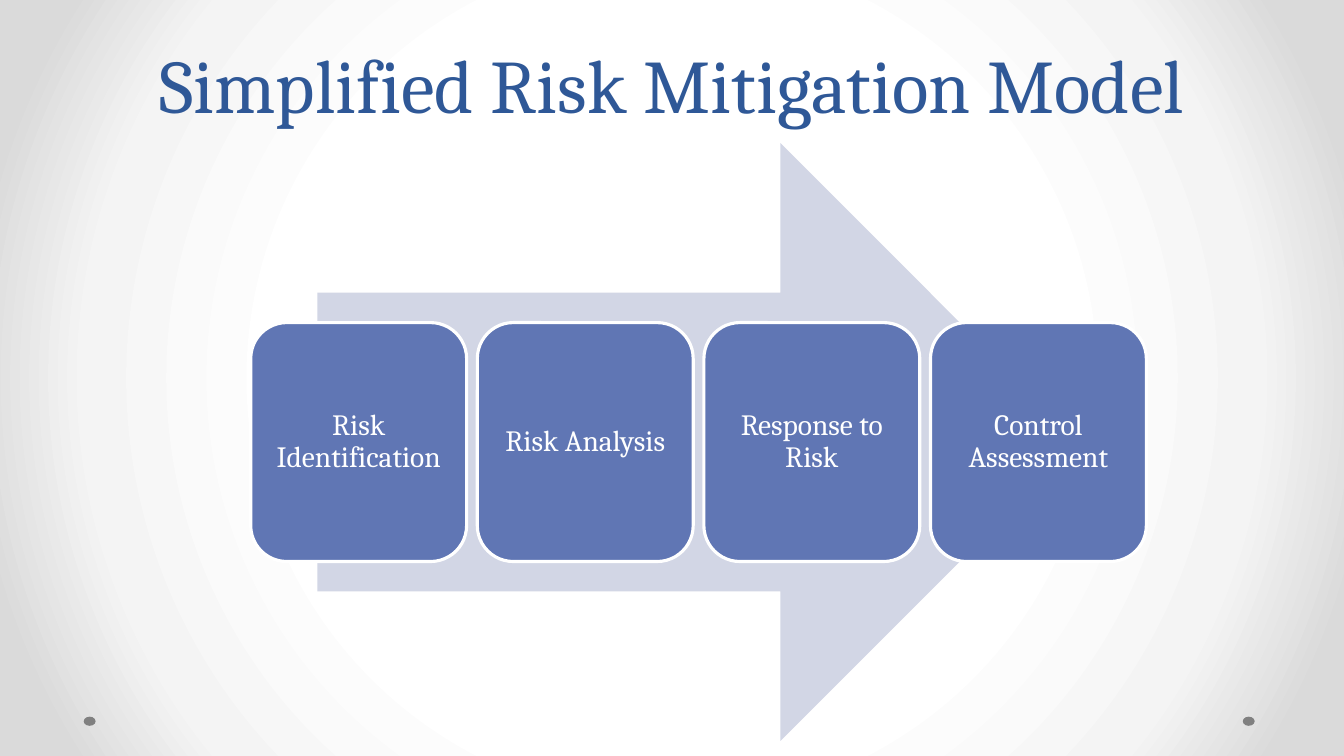
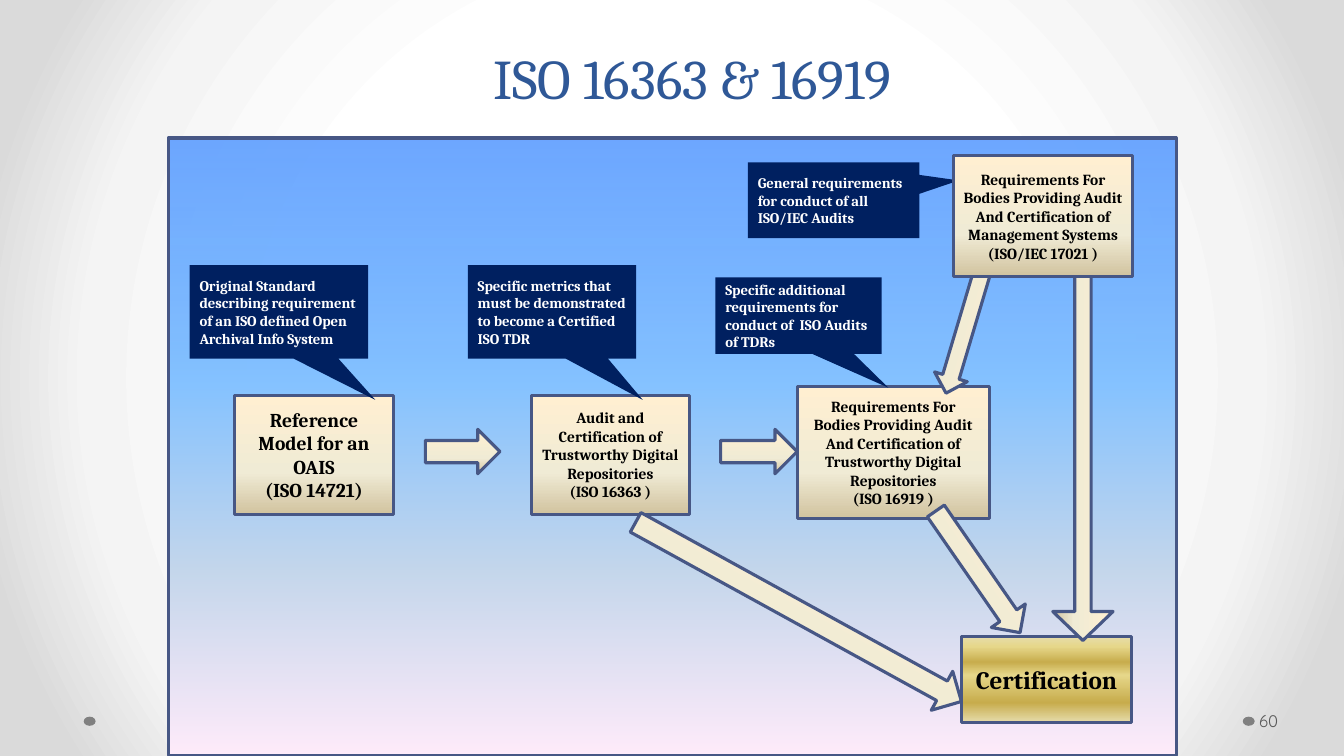
"""Build two slides: a risk mitigation model and a map of audit standards."""
from dataclasses import dataclass
from typing import NamedTuple, Optional, Union

from lxml import etree
from pptx import Presentation
from pptx.dml.color import RGBColor
from pptx.enum.shapes import MSO_SHAPE as Preset
from pptx.enum.text import MSO_ANCHOR as Anchor
from pptx.enum.text import PP_ALIGN as Align
from pptx.oxml.ns import qn
from pptx.slide import Slide
from pptx.text.text import TextFrame
from pptx.util import Cm, Pt

SERIF = "Cambria"
SANS = "Quicksand"
WHITE = RGBColor(0xFF, 0xFF, 0xFF)
BLACK = RGBColor(0x00, 0x00, 0x00)
TITLE_BLUE = RGBColor(0x2F, 0x58, 0x97)
CARD_BLUE = RGBColor(0x60, 0x76, 0xB4)
PALE_BLUE = RGBColor(0xD2, 0xD6, 0xE5)
OUTLINE_BLUE = RGBColor(0x47, 0x57, 0x85)
NAVY = RGBColor(0x00, 0x20, 0x60)
DOT_GREY = RGBColor(0x80, 0x80, 0x80)
NUMBER_GREY = RGBColor(0x59, 0x59, 0x59)
GOLD_EDGE = RGBColor(0xE6, 0xDC, 0xAC)
GOLD_LIGHT = RGBColor(0xE6, 0xD7, 0x8A)
GOLD_DARK = RGBColor(0xC7, 0xAC, 0x4C)


class Stop(NamedTuple):
    """A gradient stop, in percent."""
    position: int
    color: RGBColor
    opacity: int = 100


class Frame(NamedTuple):
    """A place on the slide, in centimetres."""
    left: float
    top: float
    width: float
    height: float


class Insets(NamedTuple):
    """Text margins, in centimetres."""
    left: float
    top: float
    right: float
    bottom: float


Gradient = tuple[Stop, ...]
Fill = Union[RGBColor, Gradient]
BACKDROP: Gradient = (
    Stop(50, WHITE),
    Stop(76, RGBColor(0xF4, 0xF4, 0xF4)),
    Stop(92, RGBColor(0xDA, 0xDA, 0xDA)),
)
SKY: Gradient = (
    Stop(0, RGBColor(0x5E, 0x9E, 0xFF), 90),
    Stop(40, RGBColor(0x85, 0xC2, 0xFF)),
    Stop(70, RGBColor(0xC4, 0xD6, 0xEB)),
    Stop(100, RGBColor(0xFF, 0xEB, 0xFA)),
)
PARCHMENT: Gradient = (
    Stop(0, RGBColor(0xFF, 0xEF, 0xD1)),
    Stop(65, RGBColor(0xF0, 0xEB, 0xD5)),
    Stop(100, RGBColor(0xD1, 0xC3, 0x9F)),
)
GOLD: Gradient = (
    Stop(0, GOLD_EDGE),
    Stop(12, GOLD_LIGHT),
    Stop(30, GOLD_DARK),
    Stop(45, GOLD_LIGHT),
    Stop(77, GOLD_DARK),
    Stop(100, GOLD_EDGE),
)
TEXT_INSETS = Insets(0.25, 0.13, 0.25, 0.13)


@dataclass(frozen=True)
class Style:
    """The look shared by shapes of one kind."""
    preset: Preset
    fill: Fill
    line: Optional[RGBColor] = None
    color: RGBColor = BLACK
    align: Align = Align.CENTER
    bold: bool = True
    spacing: Optional[float] = None
    insets: Insets = TEXT_INSETS


@dataclass(frozen=True)
class Part:
    """One shape of a diagram."""
    style: Style
    frame: Frame
    text: str = ""
    size: float = 11
    rotation: float = 0
    adjustments: tuple[float, ...] = ()


DOT = Style(Preset.OVAL, DOT_GREY)
BIG_ARROW = Style(Preset.RIGHT_ARROW, PALE_BLUE)
CARD = Style(Preset.ROUNDED_RECTANGLE, CARD_BLUE, WHITE, WHITE, bold=False,
             spacing=0.9, insets=Insets(0.24, 0.24, 0.24, 0.24))
PANEL = Style(Preset.RECTANGLE, SKY, OUTLINE_BLUE)
BOX = Style(Preset.RECTANGLE, PARCHMENT, OUTLINE_BLUE)
GOAL = Style(Preset.RECTANGLE, GOLD, OUTLINE_BLUE)
ARROW = Style(Preset.RIGHT_ARROW, PARCHMENT, OUTLINE_BLUE)
CALLOUT = Style(Preset.RECTANGULAR_CALLOUT, NAVY, color=WHITE, align=Align.LEFT)

DOTS = tuple(Part(DOT, Frame(left, 18.06, 0.3, 0.23)) for left in (31.32, 2.11))
STEPS = ("Risk Identification", "Risk Analysis", "Response to Risk", "Control Assessment")
CARD_FRAME = Frame(6.32, 8.13, 5.44, 6.02)
CARD_PITCH = 5.71
POINTER = (0.54, 0.94)

RISK_MODEL = (
    Part(BIG_ARROW, Frame(8, 3.61, 19.2, 15.06)),
    *(Part(CARD, CARD_FRAME._replace(left=CARD_FRAME.left + index * CARD_PITCH), step, 21)
      for index, step in enumerate(STEPS)),
)
STANDARDS_MAP = (
    Part(PANEL, Frame(4.24, 3.48, 25.4, 15.57)),
    Part(BOX, Frame(5.92, 9.96, 3.99, 3), "Reference Model for an OAIS\n(ISO 14721)", 14),
    Part(BOX, Frame(13.39, 9.96, 3.99, 3),
         "Audit and Certification of Trustworthy Digital Repositories\n(ISO 16363 )"),
    Part(BOX, Frame(20.09, 9.73, 4.85, 3.33),
         "Requirements For Bodies Providing Audit And Certification of "
         "Trustworthy Digital Repositories\n(ISO 16919 )"),
    Part(ARROW, Frame(22.68, 7.92, 3.25, 0.86), rotation=106.6),
    Part(ARROW, Frame(10.72, 10.82, 1.88, 1.12)),
    Part(ARROW, Frame(18.16, 10.82, 1.93, 1.12)),
    Part(ARROW, Frame(22.78, 13.89, 3.73, 1.04), rotation=55.3),
    Part(GOAL, Frame(24.23, 16.03, 4.29, 2.18), "Certification", 18),
    Part(ARROW, Frame(22.5, 10.59, 9.58, 1.52), rotation=90, adjustments=(0.27, 0.48)),
    Part(CALLOUT, Frame(18.85, 4.09, 4.32, 1.91),
         "General requirements for conduct of all ISO/IEC Audits", 10.5,
         adjustments=(0.73, -0.26)),
    Part(BOX, Frame(24.03, 3.91, 4.52, 3.07),
         "Requirements For Bodies Providing Audit And Certification of "
         "Management Systems\n(ISO/IEC 17021 )"),
    Part(ARROW, Frame(15.44, 14.86, 9.37, 1.12), rotation=28.8),
    Part(CALLOUT, Frame(18.03, 6.99, 4.19, 1.93),
         "Specific additional requirements for conduct of  ISO Audits of TDRs", 10.5,
         adjustments=POINTER),
    Part(CALLOUT, Frame(11.79, 6.68, 4.24, 2.36),
         "Specific metrics that must be demonstrated to become a Certified ISO TDR", 10.5,
         adjustments=POINTER),
    Part(CALLOUT, Frame(4.78, 6.68, 4.5, 2.36),
         "Original Standard describing requirement of an ISO defined Open "
         "Archival Info System", 10.5, adjustments=POINTER),
)


def set_stops(owner: etree.ElementBase, stops: Gradient, radial: bool = False) -> None:
    """Replace the stops of the first gradient in an element."""
    gradient = next(owner.iter(qn("a:gradFill")))
    gradient.clear()
    gradient.set("rotWithShape", "1")
    stop_list = etree.SubElement(gradient, qn("a:gsLst"))
    for stop in stops:
        entry = etree.SubElement(stop_list, qn("a:gs"), {"pos": str(stop.position * 1000)})
        color = etree.SubElement(entry, qn("a:srgbClr"), {"val": str(stop.color)})
        if stop.opacity < 100:
            etree.SubElement(color, qn("a:alpha"), {"val": str(stop.opacity * 1000)})
    if radial:
        circle = etree.SubElement(gradient, qn("a:path"), {"path": "circle"})
        center = dict.fromkeys("ltrb", "50000")
        etree.SubElement(circle, qn("a:fillToRect"), center)
    else:
        etree.SubElement(gradient, qn("a:lin"), {"ang": "5400000", "scaled": "0"})


def write_text(text_frame: TextFrame, text: str, *, size: float, color: RGBColor,
               font: str = SERIF, bold: bool = False, align: Align = Align.CENTER,
               spacing: Union[float, Pt, None] = None,
               insets: Insets = TEXT_INSETS) -> None:
    """Write one paragraph per line of text."""
    text_frame.word_wrap = True
    text_frame.vertical_anchor = Anchor.MIDDLE
    text_frame.margin_left, text_frame.margin_top = Cm(insets.left), Cm(insets.top)
    text_frame.margin_right, text_frame.margin_bottom = Cm(insets.right), Cm(insets.bottom)
    text_frame.text = text
    for paragraph in text_frame.paragraphs:
        paragraph.alignment = align
        paragraph.line_spacing = spacing
        for run in paragraph.runs:
            run.font.name = font
            run.font.size = Pt(size)
            run.font.bold = bold
            run.font.color.rgb = color


def draw_part(slide: Slide, part: Part) -> None:
    """Draw one shape with its style and text."""
    style = part.style
    shape = slide.shapes.add_shape(style.preset, *map(Cm, part.frame))
    shape.shadow.inherit = False
    shape.rotation = part.rotation
    for index, value in enumerate(part.adjustments):
        shape.adjustments[index] = value
    if isinstance(style.fill, RGBColor):
        shape.fill.solid()
        shape.fill.fore_color.rgb = style.fill
    else:
        shape.fill.gradient()
        set_stops(shape.element, style.fill)
    if style.line is None:
        shape.line.fill.background()
    else:
        shape.line.color.rgb = style.line
        shape.line.width = Pt(2.25)
    if part.text:
        write_text(shape.text_frame, part.text, size=part.size, color=style.color,
                   bold=style.bold, align=style.align, spacing=style.spacing,
                   insets=style.insets)


def add_text(slide: Slide, frame: Frame, text: str, **text_format) -> None:
    """Add a text box."""
    box = slide.shapes.add_textbox(*map(Cm, frame))
    write_text(box.text_frame, text, **text_format)


def add_slide(presentation: Presentation, parts: tuple[Part, ...], title: str,
              title_frame: Frame, title_size: float) -> Slide:
    """Add a slide with the dots, a diagram and a title."""
    slide = presentation.slides.add_slide(presentation.slide_layouts[6])
    for part in DOTS + parts:
        draw_part(slide, part)
    add_text(slide, title_frame, title, size=title_size, color=TITLE_BLUE, spacing=Pt(58))
    return slide


def main() -> None:
    """Build and save the presentation."""
    presentation = Presentation()
    presentation.slide_width, presentation.slide_height = Cm(33.87), Cm(19.05)
    master = presentation.slide_master
    master.background.fill.gradient()
    set_stops(master.element, BACKDROP, radial=True)

    add_slide(presentation, RISK_MODEL, "Simplified Risk Mitigation Model",
              Frame(1.69, 0, 30.48, 4.45), 54)
    standards = add_slide(presentation, STANDARDS_MAP, "ISO 16363 & 16919",
                          Frame(2.21, -0.46, 30.48, 4.45), 40)
    add_text(standards, Frame(31.65, 17.65, 2.08, 1.02), "60", size=12, font=SANS,
             color=NUMBER_GREY, align=Align.LEFT, insets=Insets(0.08, 0.13, 0.13, 0.13))
    presentation.save("out.pptx")


if __name__ == "__main__":
    main()
